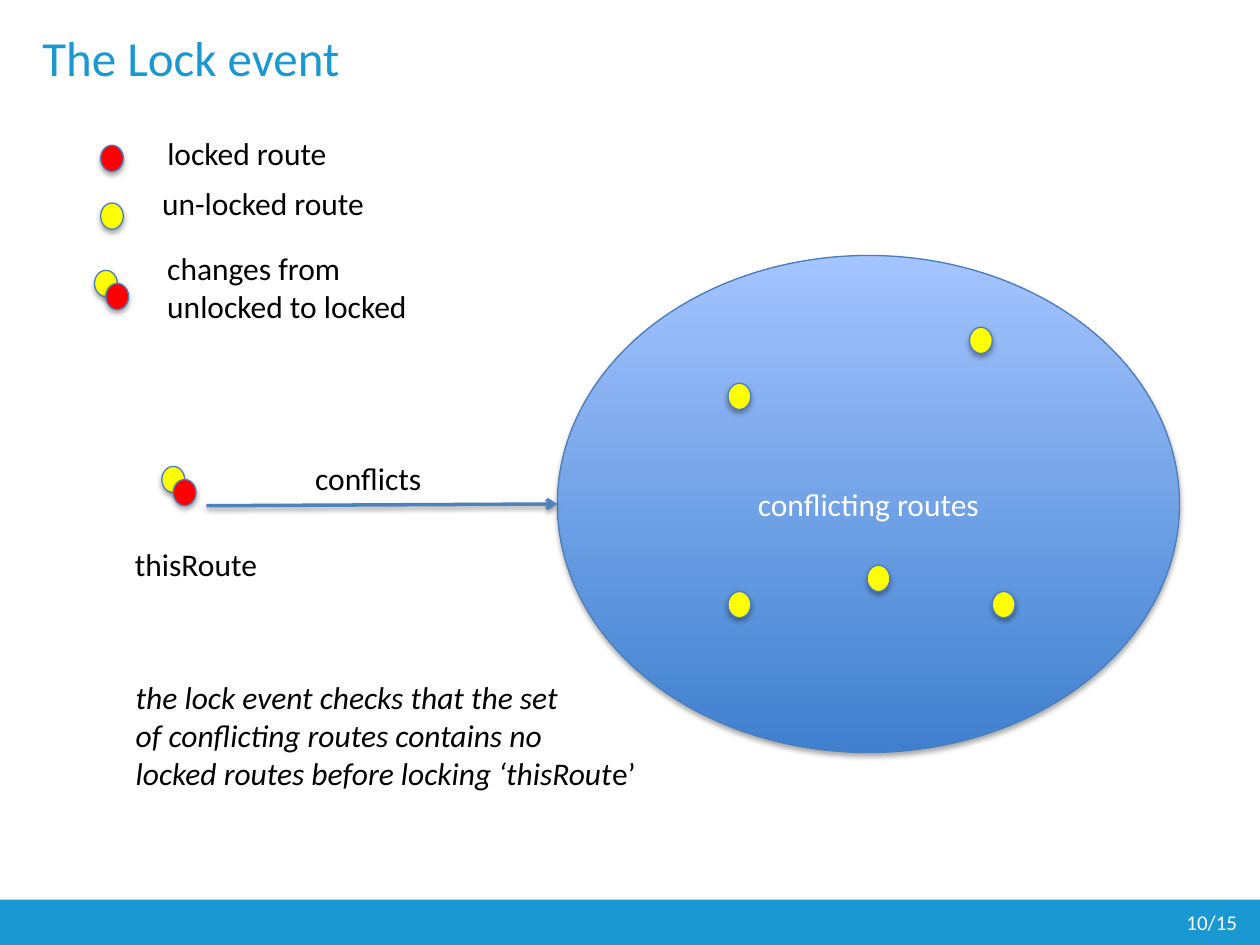
from lxml.etree import SubElement
from pptx import Presentation
from pptx.dml.color import RGBColor
from pptx.enum.shapes import MSO_CONNECTOR, MSO_SHAPE
from pptx.enum.text import MSO_ANCHOR, MSO_AUTO_SIZE, PP_ALIGN
from pptx.oxml.ns import qn
from pptx.util import Pt

BLUE = RGBColor(0x19, 0x98, 0xD2)
EDGE = RGBColor(0x4B, 0x7E, 0xBC)
ARROW = RGBColor(0x4F, 0x81, 0xBD)
DEEP = RGBColor(0x3F, 0x80, 0xCE)
PALE = RGBColor(0xA4, 0xC4, 0xFF)
YELLOW = RGBColor(0xFF, 0xFF, 0x00)
RED = RGBColor(0xFF, 0x00, 0x00)
WHITE = RGBColor(0xFF, 0xFF, 0xFF)
BLACK = RGBColor(0, 0, 0)
DOT_W, DOT_H = 13, 15


def add_oval(home, x, y, w=DOT_W, h=DOT_H, fill=YELLOW):
    oval = home.add_shape(MSO_SHAPE.OVAL, Pt(x), Pt(y), Pt(w), Pt(h))
    if fill:
        oval.fill.solid()
        oval.fill.fore_color.rgb = fill
    else:
        oval.fill.gradient()
        oval.fill.gradient_angle = 90
        for stop, color in zip(oval.fill.gradient_stops, (DEEP, PALE)):
            stop.color.rgb = color
    oval.line.color.rgb = EDGE
    oval.line.width = Pt(0.75)
    add_glow(oval, 1.8, 35)
    return oval


def add_glow(shape, dist, alpha):
    effects = SubElement(shape._element.spPr, qn("a:effectLst"))
    shadow = SubElement(effects, qn("a:outerShdw"), blurRad=str(Pt(3.1)),
                        dist=str(Pt(dist)), dir="5400000", rotWithShape="0")
    color = SubElement(shadow, qn("a:srgbClr"), val="000000")
    SubElement(color, qn("a:alpha"), val=str(alpha * 1000))


deck = Presentation()
deck.slide_width, deck.slide_height = Pt(720), Pt(540)
slide = deck.slides.add_slide(deck.slide_layouts[5])
shapes = slide.shapes

# Title
title = shapes.title
title.left, title.top, title.width, title.height = Pt(17), Pt(0), Pt(631), Pt(65)
title.text_frame.vertical_anchor = MSO_ANCHOR.MIDDLE

# Footer bar
bar = shapes.add_shape(MSO_SHAPE.RECTANGLE, Pt(0), Pt(514), Pt(720), Pt(26))
bar.shadow.inherit = False
bar.fill.solid()
bar.fill.fore_color.rgb = BLUE
bar.line.fill.background()
bar.text_frame.margin_right = Pt(13)
bar.text_frame.vertical_anchor = MSO_ANCHOR.MIDDLE

# Set of conflicting routes
region = add_oval(shapes, 318.5, 146, 355.5, 284, None)
region.text_frame.vertical_anchor = MSO_ANCHOR.MIDDLE

for shape, text, size, color, align in (
        (title, "The Lock event", 28, BLUE, PP_ALIGN.LEFT),
        (bar, "10/15", 12, WHITE, PP_ALIGN.RIGHT),
        (region, "conflicting routes", 18, WHITE, PP_ALIGN.CENTER)):
    para = shape.text_frame.paragraphs[0]
    para.alignment = align
    run = para.add_run()
    run.text = text
    run.font.name, run.font.size = "Calibri", Pt(size)
    run.font.color.rgb = color

for x, y in ((416, 219), (554, 187), (495.5, 323), (567, 338), (416, 338)):
    add_oval(shapes, x, y)

# Arrow from this route to the set
arrow = shapes.add_connector(MSO_CONNECTOR.STRAIGHT, Pt(118), Pt(289), Pt(318.5), Pt(288))
arrow.line.color.rgb = ARROW
arrow.line.width = Pt(2)
SubElement(arrow.line._get_or_add_ln(), qn("a:tailEnd"), type="arrow")
add_glow(arrow, 1.6, 38)

# Route that changes, and the legend dots
route = shapes.add_group_shape().shapes
legend = shapes.add_group_shape().shapes
add_oval(legend, 57.5, 83, fill=RED)
add_oval(legend, 57.5, 116)
for home, x, y in ((route, 92.5, 266.5), (legend, 54, 154.5)):
    for step, color in enumerate((YELLOW, RED)):
        add_oval(home, x + step * DOT_W / 2, y + step * DOT_H / 2, fill=color)

# Labels: each line is a list of (text, italic) runs
labels = (
    (shapes, 173, 259, 76, 29, [[("conflicts", False)]]),
    (shapes, 70, 308, 85, 29, [[("thisRoute", False)]]),
    (shapes, 70.5, 384, 305, 73, [
        [("the lock event checks that the set", True)],
        [("of conflicting routes contains no", True)],
        [("locked routes before locking ‘thisRout", True), ("e’", False)]]),
    (legend, 88.5, 73, 107, 29, [[("locked route", False)]]),
    (legend, 85.5, 101.5, 131, 29, [[("un-locked route", False)]]),
    (legend, 88.5, 139, 153, 51, [[("changes from", False)],
                                  [("unlocked to locked", False)]]),
)
for home, x, y, w, h, lines in labels:
    frame = home.add_textbox(Pt(x), Pt(y), Pt(w), Pt(h)).text_frame
    frame.word_wrap = False
    frame.auto_size = MSO_AUTO_SIZE.SHAPE_TO_FIT_TEXT
    for row, line in enumerate(lines):
        para = frame.add_paragraph() if row else frame.paragraphs[0]
        for text, slant in line:
            run = para.add_run()
            run.text = text
            run.font.name, run.font.size = "Calibri", Pt(18)
            run.font.italic = slant
            run.font.color.rgb = BLACK

deck.save("out.pptx")
